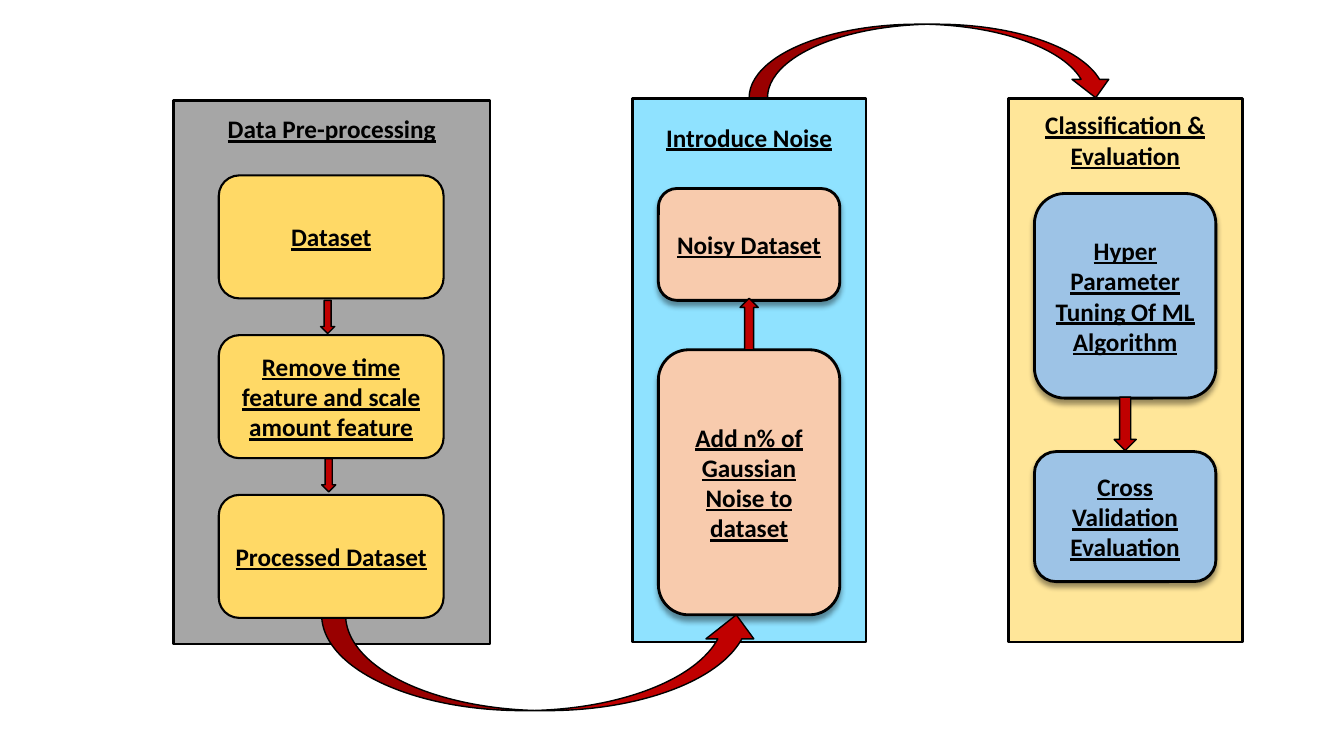
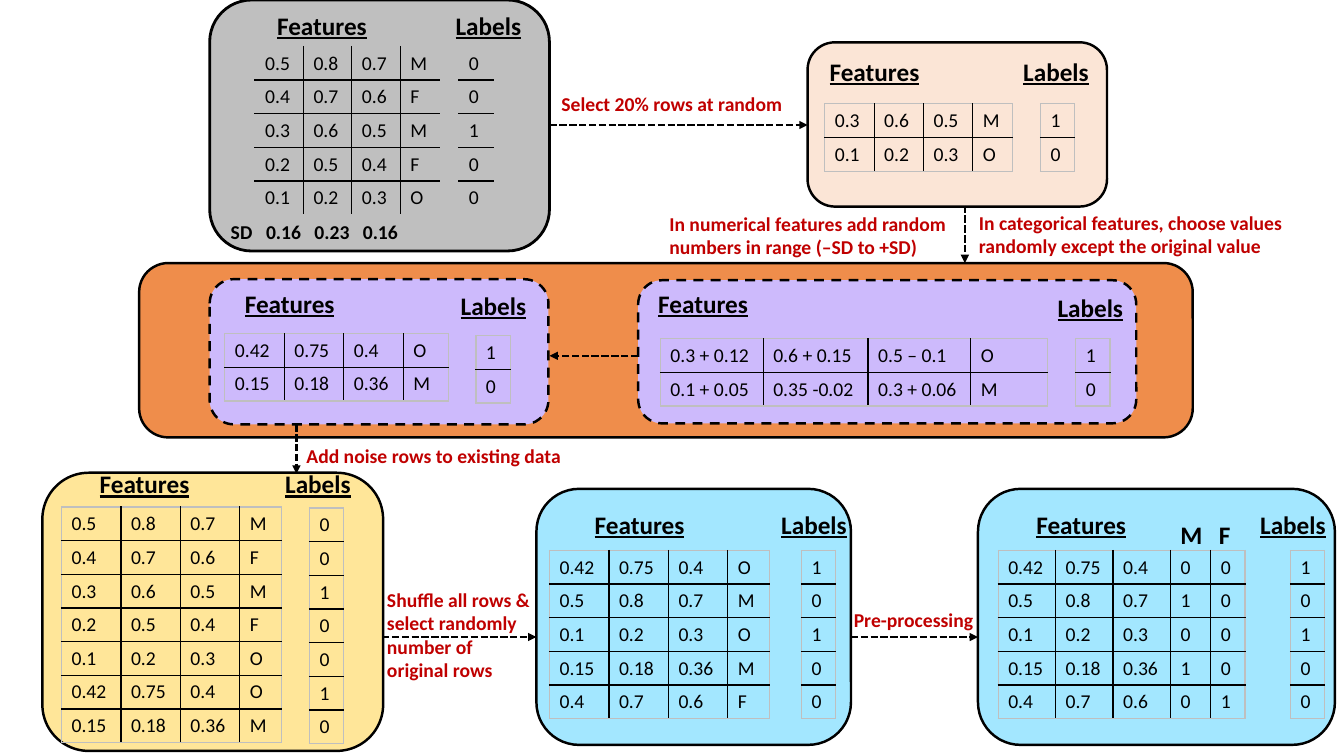
from lxml import etree
from pptx import Presentation
from pptx.dml.color import RGBColor
from pptx.enum.dml import MSO_LINE
from pptx.enum.shapes import MSO_CONNECTOR, MSO_SHAPE
from pptx.enum.text import MSO_ANCHOR, PP_ALIGN
from pptx.oxml import parse_xml
from pptx.oxml.ns import nsdecls, qn
from pptx.util import Inches, Pt

RECT, ROUND = MSO_SHAPE.RECTANGLE, MSO_SHAPE.ROUNDED_RECTANGLE
UP, DOWN = MSO_SHAPE.UP_ARROW, MSO_SHAPE.DOWN_ARROW
CURVED_UP, CURVED_DOWN = MSO_SHAPE.CURVED_UP_ARROW, MSO_SHAPE.CURVED_DOWN_ARROW
DASH, SHORT_DASH = MSO_LINE.DASH, MSO_LINE.SQUARE_DOT
LEFT, CENTER = PP_ALIGN.LEFT, PP_ALIGN.CENTER
TOP, MIDDLE = MSO_ANCHOR.TOP, MSO_ANCHOR.MIDDLE

FONT = "Calibri"
COLORS = {
    "black": "000000", "red": "C00000", "gray": "A6A6A6", "silver": "BFBFBF",
    "sky": "8FE2FF", "pale sky": "A3E7FF", "cream": "FFE699", "gold": "FFD966",
    "peach": "F8CBAD", "blush": "FBE5D6", "blue": "9DC3E6", "orange": "EF8D4B",
    "lilac": "CDBAFC",
}


def add_box(page, preset, place, fill, width, dash=None):
    box = page.shapes.add_shape(preset, *[Inches(n) for n in place])
    box.shadow.inherit = False
    box.fill.solid()
    box.fill.fore_color.rgb = RGBColor.from_string(COLORS[fill])
    box.line.color.rgb = RGBColor.from_string(COLORS["black"])
    box.line.width = Pt(width)
    if dash:
        box.line.dash_style = dash
    return box


def write_text(frame, text, size=18, color="black", bold=True, underline=True,
               align=LEFT, anchor=TOP):
    frame.word_wrap = True
    frame.vertical_anchor = anchor
    frame.text = text
    for para in frame.paragraphs:
        para.alignment = align
        for span in para.runs:
            span.font.name = FONT
            span.font.size = Pt(size)
            span.font.bold = bold
            span.font.underline = underline
            span.font.color.rgb = RGBColor.from_string(COLORS[color])


deck = Presentation()
deck.slide_width, deck.slide_height = Inches(13.33), Inches(7.5)
blank = deck.slide_layouts[6]

# Slide 1: pipeline stages
page = deck.slides.add_slide(blank)
stages = [
    ("Data Pre-processing", (1.72, 1, 3.14, 5.39), "gray", (2.13, 1.08)),
    ("Introduce Noise", (6.27, 0.98, 2.32, 5.39), "sky", (6.27, 1.16)),
    ("Classification & Evaluation", (10, 0.98, 2.32, 5.39), "cream", (10, 1.04)),
]
for title, place, fill, (left, top) in stages:
    add_box(page, RECT, place, fill, 2)
    box = page.shapes.add_textbox(Inches(left), Inches(top), Inches(2.32), Inches(0.4))
    write_text(box.text_frame, title, align=CENTER)

# Raised steps of the second and third stage
raised_steps = [
    ("Noisy Dataset", (6.53, 1.87, 1.8, 1.11), "peach"),
    ("Add n% of Gaussian Noise to dataset", (6.53, 3.47, 1.8, 2.63), "peach"),
    ("Hyper Parameter Tuning Of ML Algorithm", (10.26, 1.92, 1.8, 2.03), "blue"),
    ("Cross Validation Evaluation", (10.26, 4.48, 1.8, 1.29), "blue"),
]
for text, place, fill in raised_steps:
    box = add_box(page, ROUND, place, fill, 2)
    write_text(box.text_frame, text, align=CENTER, anchor=MIDDLE)
    effects = box._element.spPr.find(qn("a:effectLst"))
    effects.append(parse_xml(
        f'<a:outerShdw {nsdecls("a")} blurRad="{Pt(4)}" dist="{Pt(3)}" dir="5400000" '
        f'rotWithShape="0"><a:srgbClr val="{COLORS["black"]}"><a:alpha val="40000"/>'
        '</a:srgbClr></a:outerShdw>'))

# Arrows between steps and stages
arrows = [
    (CURVED_UP, (3.19, 6.1, 4.35, 0.95)),
    (CURVED_DOWN, (7.43, 0.24, 3.62, 0.73)),
    (DOWN, (3.18, 2.98, 0.14, 0.33)),
    (DOWN, (3.19, 4.55, 0.14, 0.33)),
    (UP, (7.34, 2.96, 0.18, 0.51)),
    (DOWN, (11.05, 3.94, 0.22, 0.53)),
]
for preset, place in arrows:
    add_box(page, preset, place, "red", 1)

# Flat steps of the first stage, evenly spaced
flat_steps = ["Dataset", "Remove time feature and scale amount feature", "Processed Dataset"]
for index, text in enumerate(flat_steps):
    box = add_box(page, ROUND, (2.17, 1.74 + 1.585 * index, 2.23, 1.22), "gold", 1.5)
    write_text(box.text_frame, text, align=CENTER, anchor=MIDDLE)

# Slide 2: worked example; the last entry of each row is its label
page = deck.slides.add_slide(blank)
original = [
    ["0.5", "0.8", "0.7", "M", "0"],
    ["0.4", "0.7", "0.6", "F", "0"],
    ["0.3", "0.6", "0.5", "M", "1"],
    ["0.2", "0.5", "0.4", "F", "0"],
    ["0.1", "0.2", "0.3", "O", "0"],
]
selected = [original[2], original[4]]
changes = [
    ["0.3 + 0.12", "0.6 + 0.15", "0.5 – 0.1", "O", "1"],
    ["0.1 + 0.05", "0.35 -0.02", "0.3 + 0.06", "M", "0"],
]
noisy = [
    ["0.42", "0.75", "0.4", "O", "1"],
    ["0.15", "0.18", "0.36", "M", "0"],
]
shuffled = [noisy[0], original[0], ["0.1", "0.2", "0.3", "O", "1"], noisy[1], original[1]]
encoded = [row[:3] + [str(int(row[3] == letter)) for letter in "MF"] + row[4:]
           for row in shuffled]

# Panel place, fill, line width, dash; heading, label heading, table and
# label table positions; feature column widths; rows
groups = [
    ((2.08, 0, 3.37, 2.49), "silver", 2, None, (2.65, 0.05), (4.42, 0.05),
     (2.53, 0.46), (4.55, 0.46), [0.48, 0.48, 0.48, 0.39], original),
    ((8.01, 0.42, 2.97, 1.63), "blush", 1.75, None, (8.13, 0.51), (10.05, 0.51),
     (8.18, 1.03), (10.32, 1.03), [0.49, 0.49, 0.49, 0.39], selected),
    ((6.33, 2.78, 4.94, 1.42), "lilac", 1.75, DASH, (6.43, 2.81), (10.39, 2.85),
     (6.55, 3.36), (10.67, 3.36), [1.02, 1.04, 1.02, 0.76], changes),
    ((2.08, 2.77, 3.36, 1.44), "lilac", 1.75, DASH, (2.33, 2.81), (4.47, 2.83),
     (2.23, 3.31), (4.72, 3.33), [0.59, 0.59, 0.59, 0.45], noisy),
    ((0.42, 4.69, 3.38, 2.76), "cream", 1.75, None, (0.89, 4.6), (2.73, 4.6),
     (0.61, 5.03), (3.07, 5.04), [0.59, 0.59, 0.59, 0.41], original + noisy),
    ((5.32, 4.85, 3.12, 2.54), "pale sky", 1.75, None, (5.8, 5), (7.65, 5),
     (5.45, 5.46), (7.95, 5.46), [0.59, 0.59, 0.59, 0.41], shuffled),
    ((9.7, 4.85, 3.54, 2.54), "pale sky", 1.75, None, (10.18, 5), (12.4, 5),
     (9.9, 5.46), (12.8, 5.46), [0.57, 0.57, 0.57, 0.4, 0.34], encoded),
]
add_box(page, ROUND, (1.38, 2.61, 10.45, 1.73), "orange", 1.75)
for place, fill, width, dash, heading, label_heading, spot, label_spot, widths, rows in groups:
    add_box(page, ROUND, place, fill, width, dash)
    for text, (left, top), span_width in [("Features", heading, 1.22),
                                          ("Labels", label_heading, 0.95)]:
        box = page.shapes.add_textbox(Inches(left), Inches(top),
                                      Inches(span_width), Inches(0.4))
        write_text(box.text_frame, text)

    # Features and labels sit in two tables side by side
    parts = [(spot, widths, [row[:-1] for row in rows]),
             (label_spot, [0.34], [row[-1:] for row in rows])]
    for (left, top), columns, values in parts:
        frame = page.shapes.add_table(len(values), len(columns), Inches(left), Inches(top),
                                      Inches(sum(columns)), Inches(0.33 * len(values)))
        table = frame.table
        table.first_row = table.horz_banding = False
        for column, column_width in zip(table.columns, columns):
            column.width = Inches(column_width)
        last_row, last_column = len(values) - 1, len(columns) - 1
        for r, row in enumerate(values):
            table.rows[r].height = Inches(0.33)
            for c, value in enumerate(row):
                cell = table.cell(r, c)
                cell.fill.background()
                write_text(cell.text_frame, value, 14, bold=False, underline=False)
                # Black inner rules, silver outer edge
                edges = [("lnL", c == 0), ("lnR", c == last_column),
                         ("lnT", r == 0), ("lnB", r == last_row)]
                for order, (tag, is_outer) in enumerate(edges):
                    color = COLORS["silver" if is_outer else "black"]
                    cell._tc.tcPr.insert(order, parse_xml(
                        f'<a:{tag} {nsdecls("a")} w="{Pt(1)}"><a:solidFill>'
                        f'<a:srgbClr val="{color}"/></a:solidFill></a:{tag}>'))

# Dashed flow arrows
flows = [
    (5.45, 1.24, 8.01, 1.24),
    (9.57, 2.04, 9.57, 2.61),
    (6.33, 3.53, 5.45, 3.53),
    (2.94, 4.21, 2.94, 4.7),
    (3.79, 6.32, 5.32, 6.32),
    (8.44, 6.32, 9.7, 6.32),
]
for ends in flows:
    flow = page.shapes.add_connector(MSO_CONNECTOR.STRAIGHT, *[Inches(n) for n in ends])
    flow.line.color.rgb = RGBColor.from_string(COLORS["black"])
    flow.line.width = Pt(1.75)
    flow.line.dash_style = SHORT_DASH
    etree.SubElement(flow.line._get_or_add_ln(), qn("a:tailEnd"), type="triangle")
    etree.SubElement(flow._element.spPr, qn("a:effectLst"))

# Flow captions and the extra column headings
notes = [
    ("Select 20% rows at random", (5.47, 0.86, 2.41, 0.34), 14, "red"),
    ("In numerical features add random\nnumbers in range (–SD to +SD)",
     (6.54, 2.05, 2.97, 0.57), 14, "red"),
    ("In categorical features, choose values randomly except the original value",
     (9.61, 2.04, 3.25, 0.57), 14, "red"),
    ("Add noise rows to existing data", (2.94, 4.36, 2.78, 0.34), 14, "red"),
    ("Shuffle all rows & select randomly number of original rows",
     (3.74, 5.78, 1.63, 1.04), 14, "red"),
    ("Pre-processing", (8.37, 5.98, 1.46, 0.34), 14, "red"),
    ("M", (11.61, 5.1, 0.29, 0.4), 18, "black"),
    ("F", (11.99, 5.1, 0.29, 0.4), 18, "black"),
]
for text, place, size, color in notes:
    box = page.shapes.add_textbox(*[Inches(n) for n in place])
    write_text(box.text_frame, text, size, color, underline=False)

# Standard deviations, aligned under the columns with tab stops
box = page.shapes.add_textbox(Inches(2.19), Inches(2.13), Inches(2.32), Inches(0.34))
write_text(box.text_frame, "SD\t0.16\t0.23\t0.16", 14, underline=False)
tabs = etree.SubElement(box.text_frame.paragraphs[0]._p.get_or_add_pPr(), qn("a:tabLst"))
for stop in (0.35, 0.83, 1.31):
    etree.SubElement(tabs, qn("a:tab"), pos=str(Inches(stop)), algn="l")

deck.save("out.pptx")
